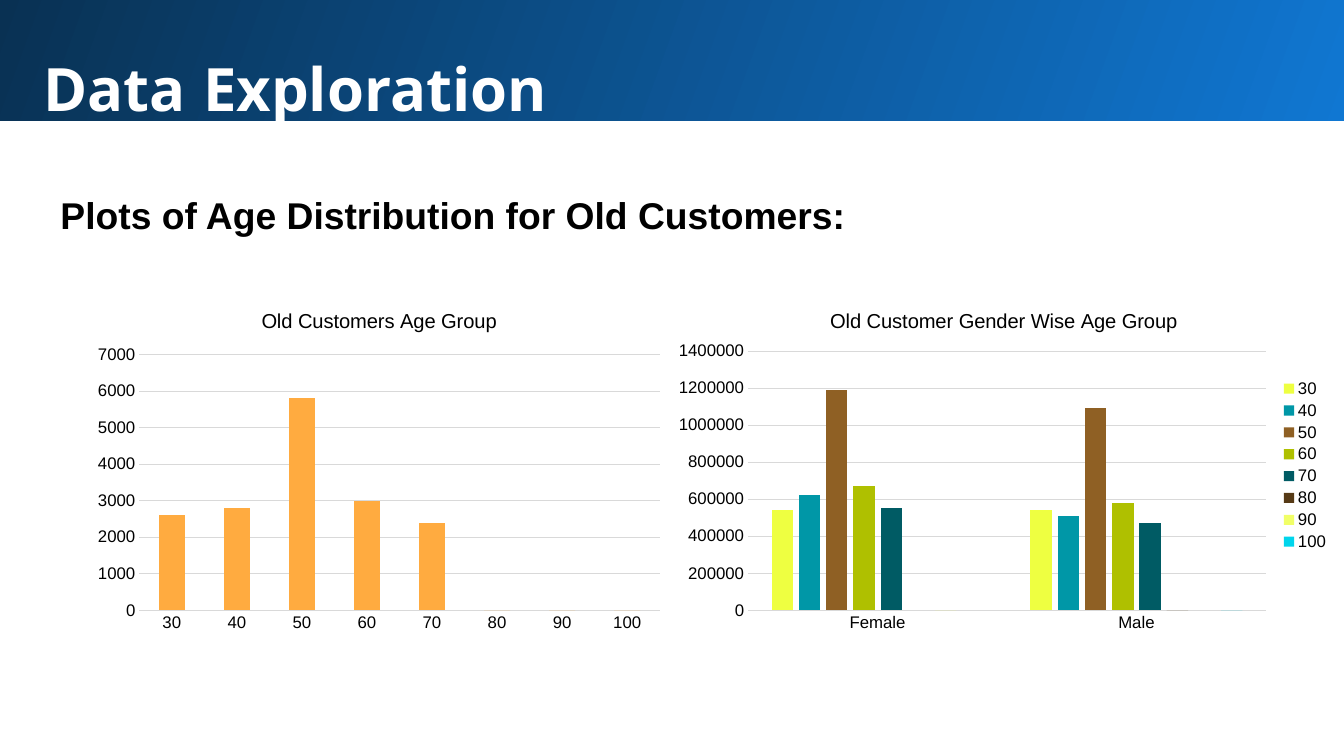
from pptx import Presentation
from pptx.chart.data import CategoryChartData
from pptx.dml.color import RGBColor
from pptx.enum.chart import XL_CHART_TYPE, XL_LEGEND_POSITION, XL_TICK_MARK
from pptx.enum.shapes import MSO_SHAPE
from pptx.oxml import parse_xml
from pptx.oxml.ns import nsdecls, qn
from pptx.util import Inches, Pt

COLORS = {
    "white": "FFFFFF", "black": "000000", "grid": "D9D9D9",
    "band_light": "1077D2", "band_dark": "093153", "orange": "FFAB40",
    "30": "EEFF41", "40": "0097A7", "50": "8F6024", "60": "AFC000",
    "70": "005B64", "80": "563A16", "90": "F1FF67", "100": "00D5EC",
}


def color(name):
    return RGBColor.from_string(COLORS[name])


class SlideBuilder:
    font = "Arial"
    inset = Inches(0.13)
    chart_size = 12
    title_size = 14.4

    def __init__(self, slide):
        self.slide = slide

    def style(self, font, size, ink="black", bold=False, name=None):
        font.name = name or self.font
        font.size = Pt(size)
        font.bold = bold
        font.color.rgb = color(ink)

    def band(self, box, start, end, angle):
        shape = self.slide.shapes.add_shape(MSO_SHAPE.RECTANGLE, *map(Inches, box))
        shape.shadow.inherit = False
        shape.line.fill.background()
        shape.fill.gradient()
        shape.fill.gradient_angle = angle
        for stop, name in zip(shape.fill.gradient_stops, (start, end)):
            stop.color.rgb = color(name)

    def text(self, box, runs, ink):
        frame = self.slide.shapes.add_textbox(*map(Inches, box)).text_frame
        frame.word_wrap = True
        frame.margin_left = frame.margin_right = self.inset
        frame.margin_top = frame.margin_bottom = self.inset
        for words, size, name in runs:
            run = frame.paragraphs[0].add_run()
            run.text = words
            self.style(run.font, size, ink, True, name)

    def axis(self, axis, line=None):
        axis.major_tick_mark = axis.minor_tick_mark = XL_TICK_MARK.NONE
        self.style(axis.tick_labels.font, self.chart_size)
        if line:
            axis.format.line.color.rgb = color(line)
            axis.format.line.width = Pt(0.75)
        else:
            axis.format.line.fill.background()

    def plot_layout(self, chart, plot_box):
        places = "".join(
            f'<c:{key} val="{value}"/>' for key, value in zip("xywh", plot_box))
        area = chart.plots[0]._element.getparent()
        for old in area.findall(qn("c:layout")):
            area.remove(old)
        area.insert(0, parse_xml(
            f'<c:layout {nsdecls("c")}><c:manualLayout>'
            '<c:layoutTarget val="inner"/><c:xMode val="edge"/><c:yMode val="edge"/>'
            f'{places}</c:manualLayout></c:layout>'))

    def columns(self, box, kind, title, categories, series, gap, overlap,
                top, step, plot_box, axis_line=None, legend=False):
        data = CategoryChartData()
        data.categories = categories
        for name, values, _ in series:
            data.add_series(name, values)
        chart = self.slide.shapes.add_chart(kind, *map(Inches, box), data).chart
        self.style(chart.font, self.chart_size)
        chart.has_title = True
        heading = chart.chart_title.text_frame
        heading.text = title
        self.style(heading.paragraphs[0].runs[0].font, self.title_size)
        chart.chart_title.include_in_layout = False

        plot = chart.plots[0]
        plot.vary_by_categories = False
        plot.gap_width, plot.overlap = gap, overlap
        for bars, (_, _, ink) in zip(plot.series, series):
            bars.format.fill.solid()
            bars.format.fill.fore_color.rgb = color(ink)
            bars.invert_if_negative = False

        self.axis(chart.category_axis, axis_line)
        scale = chart.value_axis
        self.axis(scale)
        scale.minimum_scale, scale.maximum_scale, scale.major_unit = 0, top, step
        scale.tick_labels.number_format = "0"
        scale.tick_labels.number_format_is_linked = False
        scale.major_gridlines.format.line.color.rgb = color("grid")
        scale.major_gridlines.format.line.width = Pt(0.75)

        chart.has_legend = legend
        if legend:
            chart.legend.position = XL_LEGEND_POSITION.RIGHT
            chart.legend.include_in_layout = False
            self.style(chart.legend.font, self.chart_size)
        self.plot_layout(chart, plot_box)


AGES = ["30", "40", "50", "60", "70", "80", "90", "100"]
FEMALE = [540000, 620000, 1190000, 670000, 550000, None, 0, None]
MALE = [540000, 510000, 1090000, 580000, 470000, 0, None, 0]

prs = Presentation()
prs.slide_width, prs.slide_height = Inches(13.33), Inches(7.5)
page = SlideBuilder(prs.slides.add_slide(prs.slide_layouts[6]))

page.band((-0.02, -0.03, 13.4, 1.23), "band_light", "band_dark", 160)
page.text((0.3, 0.38, 12.49, 0.99),
          [("Data", 42.7, "Open Sans"), (" ", 34.7, "Comic Neue"),
           ("Exploration", 42.7, "Open Sans")], "white")
page.text((0.47, 1.78, 9.31, 1.09),
          [("Plots of Age Distribution for Old Customers:", 26.6, "Arial")], "black")
page.columns((0.86, 2.9, 5.8, 3.43), XL_CHART_TYPE.COLUMN_STACKED,
             "Old Customers Age Group", AGES,
             [("Series 1", [2600, 2800, 5800, 3000, 2400, 0, 0, 0], "orange")],
             150, 100, 7000, 1000, (0.09, 0.18, 0.89, 0.74))
page.columns((6.62, 2.9, 6.67, 3.43), XL_CHART_TYPE.COLUMN_CLUSTERED,
             "Old Customer Gender Wise Age Group", ["Female", "Male"],
             [(age, pair, age) for age, *pair in zip(AGES, FEMALE, MALE)],
             219, -27, 1400000, 200000, (0.12, 0.17, 0.77, 0.75),
             axis_line="grid", legend=True)

prs.save("out.pptx")
